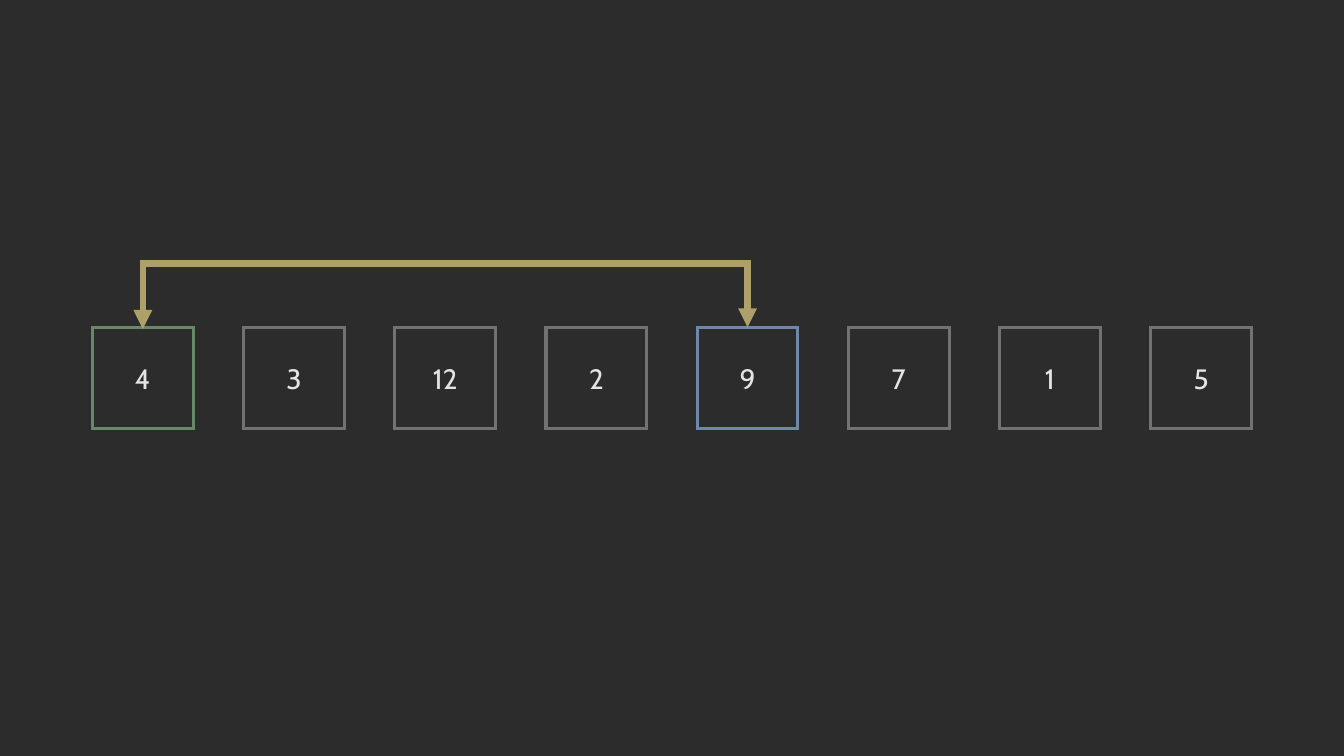
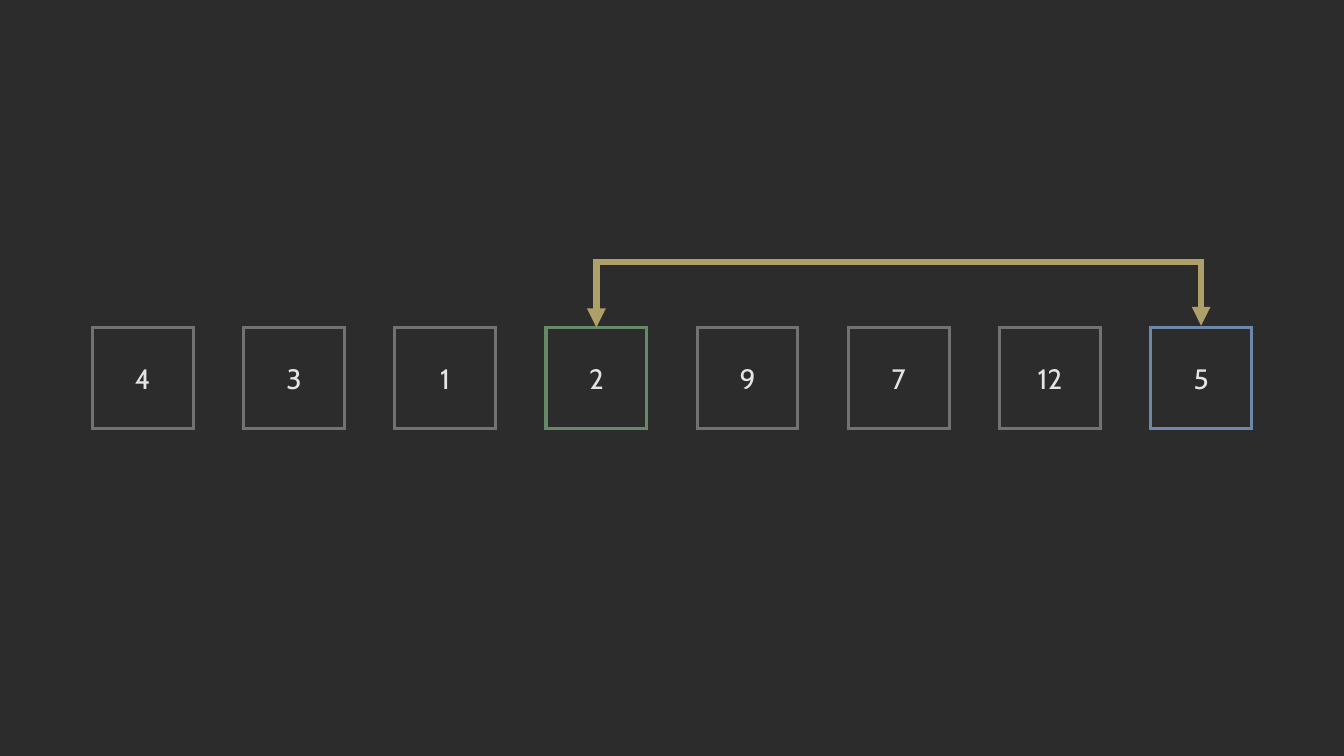
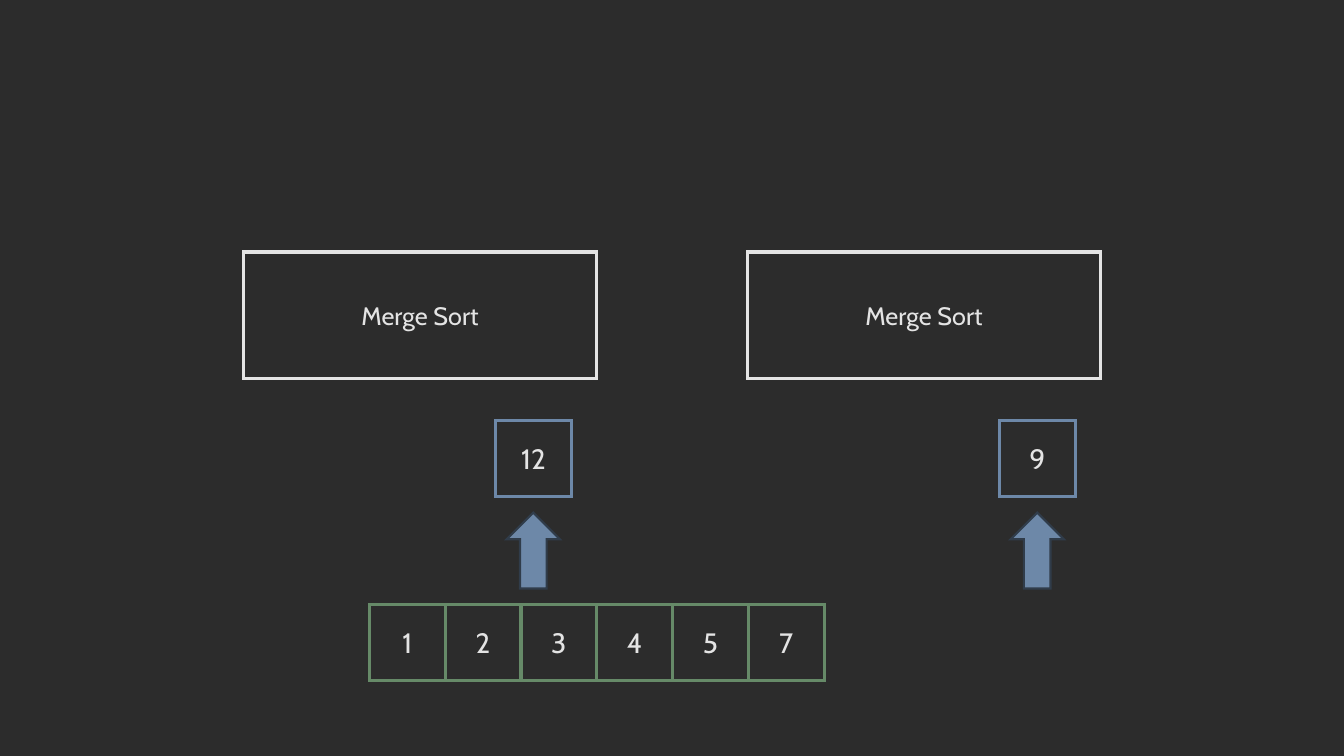
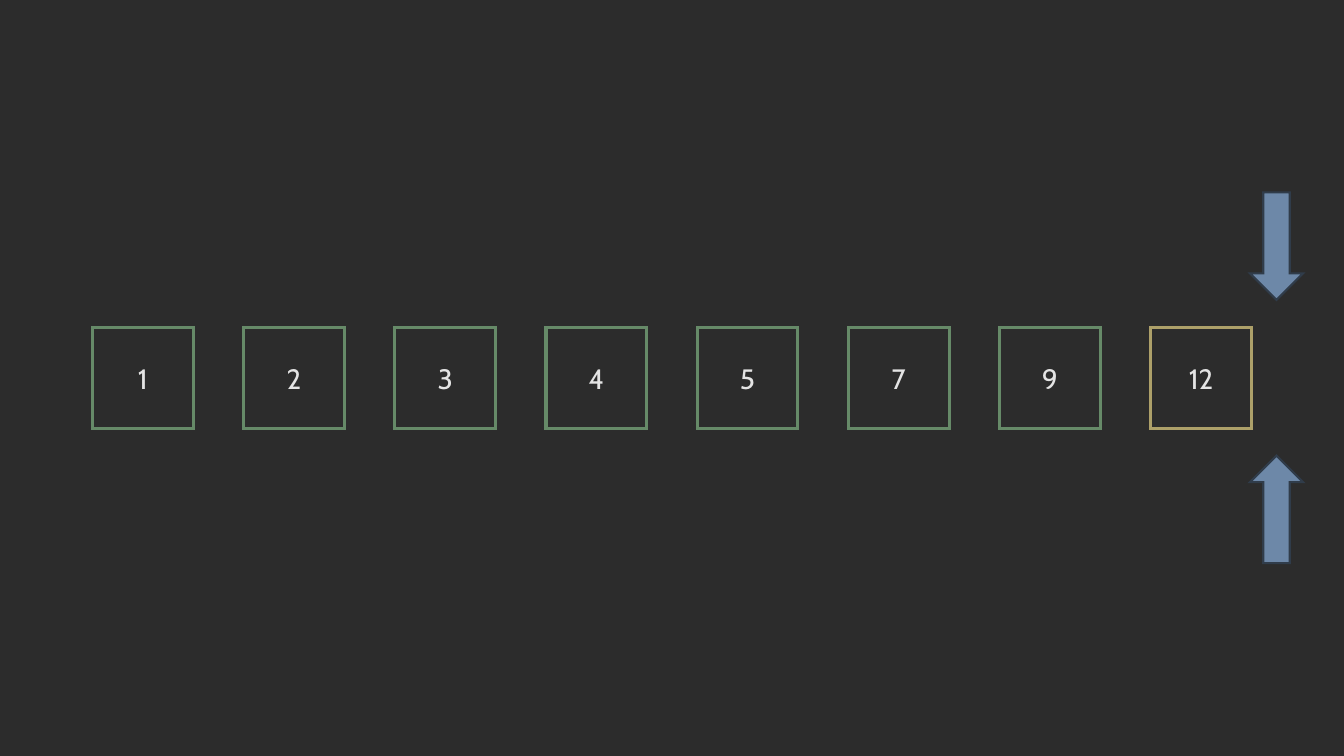
from lxml.etree import SubElement
from pptx import Presentation
from pptx.dml.color import RGBColor
from pptx.enum.shapes import MSO_CONNECTOR, MSO_SHAPE
from pptx.enum.text import MSO_ANCHOR, PP_ALIGN
from pptx.oxml.ns import qn
from pptx.util import Cm, Pt

HUES = {
    "back": "2C2C2C", "text": "E4E4E4", "gray": "727272", "green": "668A68",
    "blue": "6D88A8", "gold": "ADA069", "edge": "303C4A",
}
FONT = "Cabin"
LEFT, TOP, SIDE, STEP = 2.33, 8.26, 2.54, 3.81  # row of eight boxes
CELL = 1.91  # small box

prs = Presentation()
prs.slide_width, prs.slide_height = Cm(33.87), Cm(19.05)
fill = prs.slide_master.background.fill
fill.solid()
fill.fore_color.rgb = RGBColor.from_string(HUES["back"])


def draw(slide, text, x, y, wide, high, line="gray", fill=None,
         kind=MSO_SHAPE.RECTANGLE, width=2.25, size=20):
    """Add a shape with centred text; lengths are in centimetres."""
    shape = slide.shapes.add_shape(kind, Cm(x), Cm(y), Cm(wide), Cm(high))
    shape.shadow.inherit = False
    if fill:
        shape.fill.solid()
        shape.fill.fore_color.rgb = RGBColor.from_string(HUES[fill])
    else:
        shape.fill.background()
    shape.line.color.rgb = RGBColor.from_string(HUES[line])
    shape.line.width = Pt(width)
    SubElement(shape.line._get_or_add_ln(), qn("a:miter"), lim="800000")
    if text:
        frame = shape.text_frame
        frame.vertical_anchor = MSO_ANCHOR.MIDDLE
        para = frame.paragraphs[0]
        para.alignment = PP_ALIGN.CENTER
        run = para.add_run()
        run.text = text
        run.font.name, run.font.size = FONT, Pt(size)
        run.font.color.rgb = RGBColor.from_string(HUES["text"])


def link(slide, first, last, y):
    """Add a two-headed elbow that runs above the row between two boxes."""
    rise, drop = 1.65, 0.04
    mid = LEFT + SIDE / 2 + STEP * (first + last) / 2
    half = STEP * (last - first) / 2
    # Drawn upright, then turned a quarter so that the elbow opens downwards
    elbow = slide.shapes.add_connector(
        MSO_CONNECTOR.ELBOW, Cm(mid + drop / 2), Cm(y + half),
        Cm(mid - drop / 2), Cm(y - half))
    elbow.line.color.rgb = RGBColor.from_string(HUES["gold"])
    elbow.line.width = Pt(4.5)
    props = elbow._element.spPr
    props.find(qn("a:xfrm")).set("rot", "5400000")
    geom = props.find(qn("a:prstGeom"))
    SubElement(geom.find(qn("a:avLst")), qn("a:gd"), name="adj1",
               fmla=f"val {round(rise / drop * 100000)}")
    ln = elbow.line._get_or_add_ln()
    SubElement(ln, qn("a:miter"), lim="800000")
    for end in ("a:headEnd", "a:tailEnd"):
        SubElement(ln, qn(end), type="triangle")
    SubElement(props, qn("a:effectLst"))


swap, next_swap, merge, done = [
    prs.slides.add_slide(prs.slide_layouts[6]) for _ in range(4)]

# Rows of eight: numbers, usual outline, outlines that differ
rows = [
    (swap, [4, 3, 12, 2, 9, 7, 1, 5], "gray", {0: "green", 4: "blue"}),
    (next_swap, [4, 3, 1, 2, 9, 7, 12, 5], "gray", {3: "green", 7: "blue"}),
    (done, [1, 2, 3, 4, 5, 7, 9, 12], "green", {7: "gold"}),
]
for slide, nums, hue, marks in rows:
    for i, num in enumerate(nums):
        draw(slide, str(num), LEFT + i * STEP, TOP, SIDE, SIDE,
             line=marks.get(i, hue))

# Swapped pairs
link(swap, 0, 4, 8.27)
link(next_swap, 3, 7, 8.23)

# Merge step: sorted cells, then the two halves
for i, num in enumerate([1, 2, 3, 4, 5, 7]):
    draw(merge, str(num), 9.31 + i * CELL, 15.24, CELL, CELL, line="green")
arrow = {"line": "edge", "fill": "blue", "width": 1.5}
for i, num in enumerate([12, 9]):
    x = 6.14 + i * 12.7
    draw(merge, "Merge Sort", x, 6.35, 8.89, 3.18, line="text", fill="back",
         size=18)
    draw(merge, str(num), x + 6.35, 10.6, CELL, CELL, line="blue")
    draw(merge, "", x + 6.63, 12.92, 1.34, CELL, kind=MSO_SHAPE.UP_ARROW,
         **arrow)

# Arrows past the end of the sorted row
for kind, y in ((MSO_SHAPE.UP_ARROW, 11.48), (MSO_SHAPE.DOWN_ARROW, 4.85)):
    draw(done, "", 31.5, y, 1.34, 2.71, kind=kind, **arrow)

prs.save("out.pptx")
